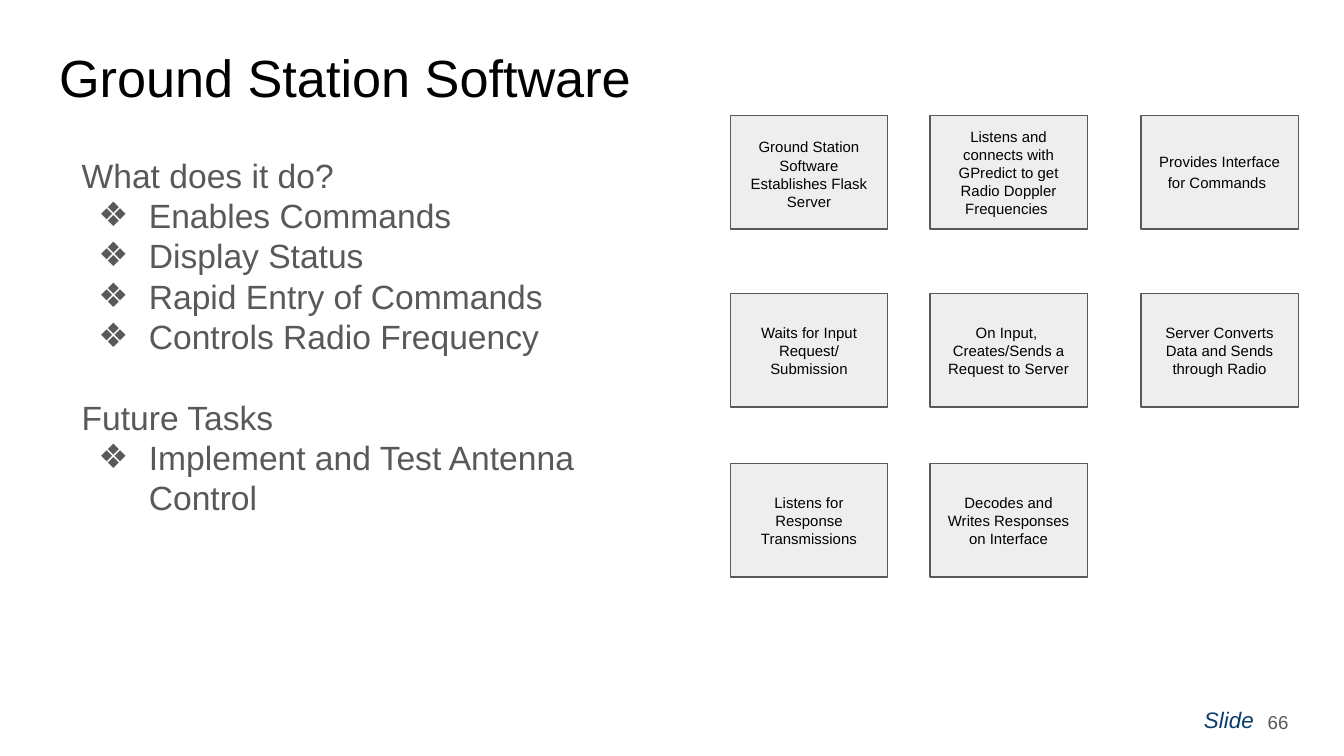
from dataclasses import dataclass

from lxml.etree import SubElement
from pptx import Presentation
from pptx.dml.color import RGBColor
from pptx.enum.shapes import MSO_SHAPE as Preset
from pptx.enum.text import MSO_ANCHOR as Anchor, MSO_AUTO_SIZE as AutoSize, PP_ALIGN as Align
from pptx.oxml.ns import qn
from pptx.util import Emu, Pt

PX = 4572  # EMU in one px, 200 px to the inch

BLACK = RGBColor(0x00, 0x00, 0x00)
GRAY = RGBColor(0x59, 0x59, 0x59)
PALE = RGBColor(0xEE, 0xEE, 0xEE)
NAVY = RGBColor(0x08, 0x3D, 0x6E)


@dataclass(frozen=True)
class Run:
    text: str
    size: int | None = None


@dataclass(frozen=True)
class Line:
    runs: tuple[Run, ...]
    bullet: bool = False
    before: float = 0


@dataclass(frozen=True)
class Step:
    column: int
    row: int
    lines: tuple[Line, ...]


def line(*parts: str | Run, bullet: bool = False, before: float = 0) -> Line:
    runs = tuple(Run(part) if isinstance(part, str) else part for part in parts)
    return Line(runs, bullet, before)


def px(length: int) -> Emu:
    return Emu(length * PX)


def add_bullet(paragraph, color: RGBColor) -> None:
    properties = paragraph._p.get_or_add_pPr()
    properties.set("marL", str(px(100)))
    properties.set("indent", str(px(-75)))
    SubElement(SubElement(properties, qn("a:buClr")), qn("a:srgbClr"), val=str(color))
    SubElement(properties, qn("a:buFont"), typeface="Arial")
    SubElement(properties, qn("a:buChar"), char="❖")


def write(shape, lines: tuple[Line, ...], *, size: int, color: RGBColor = BLACK,
          align=Align.LEFT, anchor=Anchor.TOP, italic: bool = False) -> None:
    frame = shape.text_frame
    frame.word_wrap = True
    frame.auto_size = AutoSize.NONE
    frame.vertical_anchor = anchor
    frame.margin_left = frame.margin_right = px(20)
    frame.margin_top = frame.margin_bottom = px(20)
    for index, content in enumerate(lines):
        paragraph = frame.add_paragraph() if index else frame.paragraphs[0]
        if content.bullet:
            add_bullet(paragraph, color)
        paragraph.alignment = align
        paragraph.space_before = Pt(content.before)
        for part in content.runs:
            run = paragraph.add_run()
            run.text = part.text
            run.font.name = "Arial"
            run.font.size = Pt(part.size or size)
            run.font.color.rgb = color
            run.font.italic = italic


def add_text(slide, box: tuple[int, int, int, int], *lines: Line, **style) -> None:
    write(slide.shapes.add_textbox(*map(px, box)), lines, **style)


def add_step(slide, step: Step) -> None:
    box = slide.shapes.add_shape(
        Preset.RECTANGLE, px(COLUMNS[step.column]), px(ROWS[step.row]), px(234), px(169))
    box.shadow.inherit = False
    box.fill.solid()
    box.fill.fore_color.rgb = PALE
    box.line.color.rgb = GRAY
    box.line.width = Pt(0.75)
    write(box, step.lines, size=8, align=Align.CENTER, anchor=Anchor.MIDDLE)


COLUMNS = (1087, 1384, 1698)
ROWS = (172, 437, 690)
WIDE_SPACE = Run(" ", 10)

STEPS = (
    Step(0, 0, (line("Ground Station", WIDE_SPACE, "Software Establishes Flask Server"),)),
    Step(1, 0, (line("Listens and connects with GPredict to get Radio Doppler Frequencies "),)),
    Step(2, 0, (line("Provides Interface for Commands", WIDE_SPACE),)),
    Step(0, 1, (line("Waits for Input Request/ Submission"),)),
    Step(2, 1, (line("Server Converts Data and Sends through Radio"),)),
    Step(1, 1, (line("On Input, "), line("Creates/Sends a Request to Server"))),
    Step(1, 2, (line("Decodes and Writes Responses on Interface"),)),
    Step(0, 2, (line("Listens for Response Transmissions"),)),
)

OVERVIEW = (
    line("What does it do?"),
    line("Enables Commands", bullet=True),
    line("Display Status", bullet=True),
    line("Rapid Entry of Commands", bullet=True),
    line("Controls Radio Frequency", bullet=True),
    line("Future Tasks", before=21.6),
    line("Implement and Test Antenna Control", bullet=True),
)


def main() -> None:
    deck = Presentation()
    deck.slide_width, deck.slide_height = px(2000), px(1125)
    slide = deck.slides.add_slide(deck.slide_layouts[5])

    # Title
    title = slide.shapes.title
    title.left, title.top, title.width, title.height = map(px, (68, 48, 1864, 126))
    write(title, (line("Ground Station Software"),), size=28)

    # Process steps
    for step in STEPS:
        add_step(slide, step)

    # Slide number
    add_text(slide, (1772, 1031, 202, 48), line("Slide"), size=12, color=NAVY, italic=True)
    add_text(slide, (1803, 1032, 134, 86), line("66"), size=10, color=GRAY,
             align=Align.RIGHT, anchor=Anchor.MIDDLE)

    # Overview and future tasks
    add_text(slide, (102, 210, 806, 794), *OVERVIEW, size=18, color=GRAY)

    deck.save("out.pptx")


if __name__ == "__main__":
    main()
